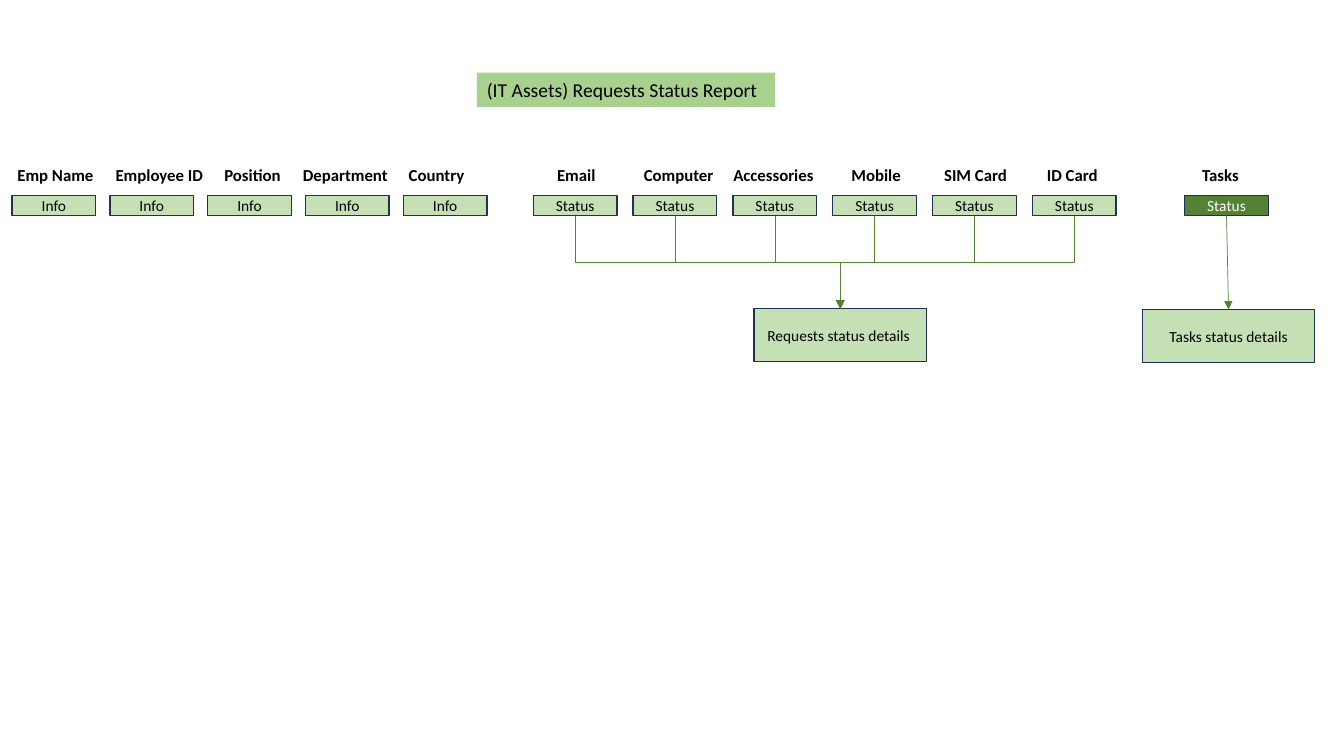
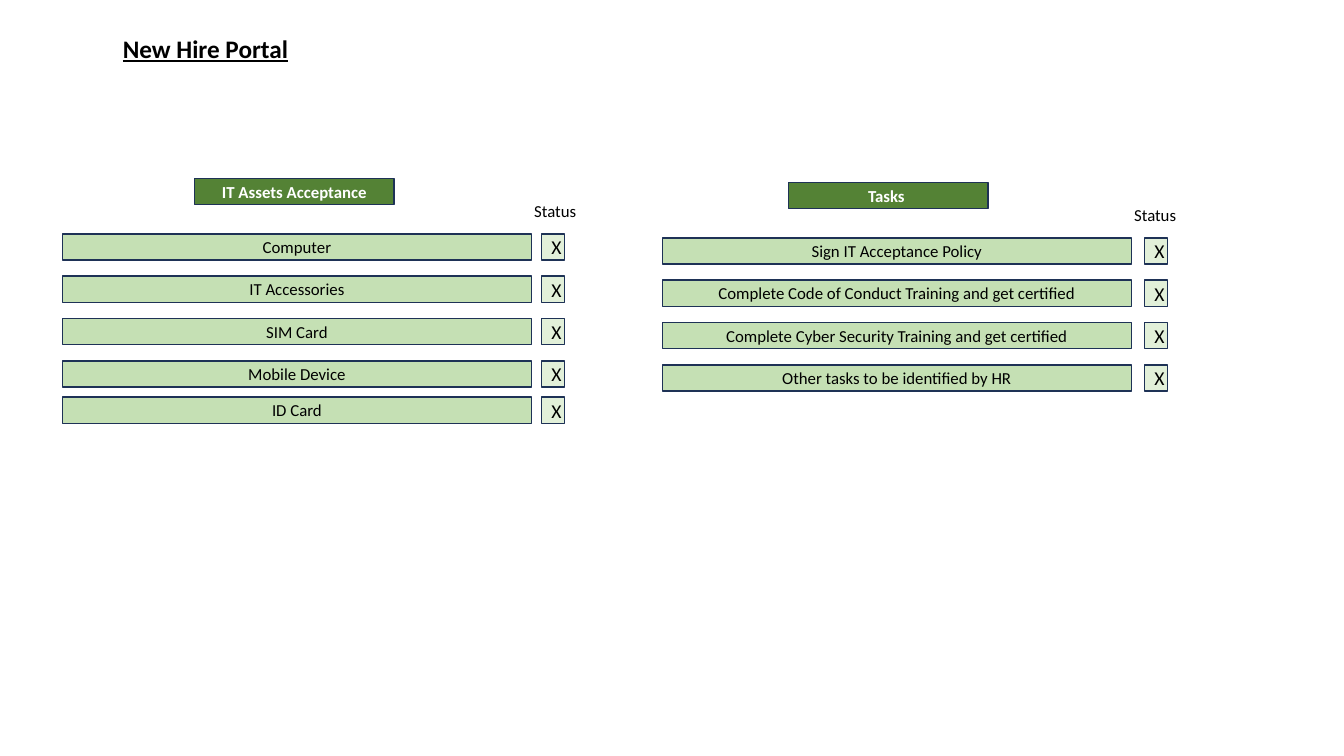
from lxml import etree
from pptx import Presentation
from pptx.dml.color import RGBColor
from pptx.enum.shapes import MSO_CONNECTOR as Link, MSO_SHAPE as Shape
from pptx.enum.text import MSO_ANCHOR as Anchor, MSO_AUTO_SIZE as AutoSize, PP_ALIGN as Align
from pptx.oxml.ns import qn
from pptx.util import Inches, Pt

COLORS = {
    "black": "000000",
    "white": "FFFFFF",
    "navy": "1E3256",
    "dark": "548235",
    "banner": "A9D18E",
    "light": "C5E0B4",
    "pale": "E2F0D9",
}
BOX_WIDTH, BOX_HEIGHT = 0.83, 0.2
BAR_WIDTH, BAR_HEIGHT = 4.65, 0.26
ROW_TOPS = [0.55, 0.97, 1.39, 1.81, 2.17]

# Heading, left edge and width of its label
INFO_COLUMNS = [
    ("Emp Name", 0.07, 0.96),
    ("Employee ID", 1.04, 1.08),
    ("Position", 2.12, 0.77),
    ("Department", 2.9, 1.05),
    ("Country", 3.95, 0.76),
]
ASSET_COLUMNS = [
    ("Email", 5.42, 0.59),
    ("Computer ", 6.28, 0.94),
    ("Accessories ", 7.15, 1.08),
    ("Mobile", 8.34, 0.7),
    ("SIM Card ", 9.26, 0.87),
    ("ID Card", 10.28, 0.71),
]
TASK_COLUMNS = [("Tasks", 11.82, 0.57)]

ASSETS = ["Computer", "IT Accessories", "SIM Card", "Mobile Device", "ID Card"]
TASKS = [
    "Sign IT Acceptance Policy",
    "Complete Code of Conduct Training and get certified",
    "Complete Cyber Security Training and get certified",
    "Other tasks to be identified by HR",
]


def rgb(name):
    return RGBColor.from_string(COLORS[name])


def write(shape, text, align, color="black", **font):
    para = shape.text_frame.paragraphs[0]
    para.alignment = align
    span = para.add_run()
    span.text = text
    span.font.color.rgb = rgb(color)
    for name, value in {"name": "Calibri", **font}.items():
        setattr(span.font, name, value)


def add_box(page, text, left, top, width, height, fill="light", color="black", **font):
    box = page.shapes.add_shape(Shape.RECTANGLE, *map(Inches, (left, top, width, height)))
    box.shadow.inherit = False
    box.fill.solid()
    box.fill.fore_color.rgb = rgb(fill)
    box.line.color.rgb = rgb("navy")
    box.line.width = Pt(1)
    box.text_frame.vertical_anchor = Anchor.MIDDLE
    write(box, text, Align.CENTER, color, **font)
    return box


def add_label(page, text, left, top, width, height=0.3, align=Align.LEFT, **font):
    label = page.shapes.add_textbox(*map(Inches, (left, top, width, height)))
    label.text_frame.word_wrap = False
    label.text_frame.auto_size = AutoSize.SHAPE_TO_FIT_TEXT
    write(label, text, align, **font)
    return label


def add_arrow(page, source, target, kind=Link.STRAIGHT):
    """Join the bottom of source to the top of target."""
    arrow = page.shapes.add_connector(kind, 0, 0, 0, 0)
    arrow.begin_connect(source, 2)
    arrow.end_connect(target, 0)
    arrow.line.color.rgb = rgb("dark")
    arrow.line.width = Pt(0.5)
    etree.SubElement(arrow.line._get_or_add_ln(), qn("a:tailEnd"), type="triangle")
    etree.SubElement(arrow.element.spPr, qn("a:effectLst"))
    return arrow


def add_elbow(page, source, target):
    """Draw an arrow that runs down, across and down again."""
    arrow = add_arrow(page, source, target, Link.ELBOW)
    start_x, end_x = arrow.begin_x, arrow.end_x
    start_y, end_y = arrow.begin_y, arrow.end_y
    drop, span = end_y - start_y, abs(end_x - start_x)
    # The preset runs sideways, so its frame is turned about its centre
    frame = {
        "left": (start_x + end_x - drop) // 2,
        "top": (start_y + end_y - span) // 2,
        "width": drop,
        "height": span,
    }
    for name, value in frame.items():
        setattr(arrow, name, value)
    rightward = end_x > start_x
    turn = arrow.element.spPr.find(qn("a:xfrm"))
    turn.set("rot", str((270 if rightward else 90) * 60000))
    turn.set("flipH", "1" if rightward else "0")
    turn.set("flipV", "0")


def add_columns(page, columns, text, left, step=0.0, **style):
    """Place headings over a row of equal boxes and return the boxes."""
    boxes = []
    for index, (heading, label_left, label_width) in enumerate(columns):
        add_label(page, heading, label_left, 1.59, label_width,
                  align=Align.CENTER, size=Pt(12), bold=True)
        boxes.append(add_box(page, text, left + index * step, 1.94,
                             BOX_WIDTH, BOX_HEIGHT, size=Pt(11), **style))
    return boxes


def add_checklist(page, title, items, left, top, title_offset, mark_offset):
    add_box(page, title, left + title_offset, top, 1.98, BAR_HEIGHT,
            "dark", "white", size=Pt(12), bold=True)
    add_label(page, "Status", left + 4.58, top + 0.17, 0.62, size=Pt(12))
    for item, row_top in zip(items, ROW_TOPS):
        add_box(page, item, left, top + row_top, BAR_WIDTH, BAR_HEIGHT, size=Pt(12))
        add_box(page, "X", left + mark_offset, top + row_top, 0.23, BAR_HEIGHT,
                "pale", size=Pt(14))


def build_report(page):
    banner = add_label(page, "(IT Assets) Requests Status Report",
                       4.73, 0.72, 2.96, 0.34, size=Pt(14))
    banner.fill.solid()
    banner.fill.fore_color.rgb = rgb("banner")

    add_columns(page, INFO_COLUMNS, "Info", 0.12, 0.97)
    assets = add_columns(page, ASSET_COLUMNS, "Status", 5.29, 0.99)
    [task] = add_columns(page, TASK_COLUMNS, "Status", 11.75, fill="dark", color="white")

    requests = add_box(page, "Requests status details ", 7.48, 3.06, 1.71, 0.53, size=Pt(11))
    task_details = add_box(page, "Tasks status details", 11.33, 3.07, 1.71, 0.53, size=Pt(11))
    add_arrow(page, task, task_details)
    for asset in assets:
        add_elbow(page, asset, requests)


def build_portal(page):
    add_label(page, "New Hire Portal", 1.12, 0.28, 1.86, 0.4,
              size=Pt(18), bold=True, underline=True)
    add_checklist(page, "IT Assets Acceptance", ASSETS, 0.62, 1.77, 1.31, 4.75)
    add_checklist(page, "Tasks ", TASKS, 6.57, 1.81, 1.25, 4.78)


def main():
    deck = Presentation()
    deck.slide_width, deck.slide_height = Inches(13.33), Inches(7.5)
    for build in (build_report, build_portal):
        build(deck.slides.add_slide(deck.slide_layouts[6]))
    deck.save("out.pptx")


if __name__ == "__main__":
    main()
